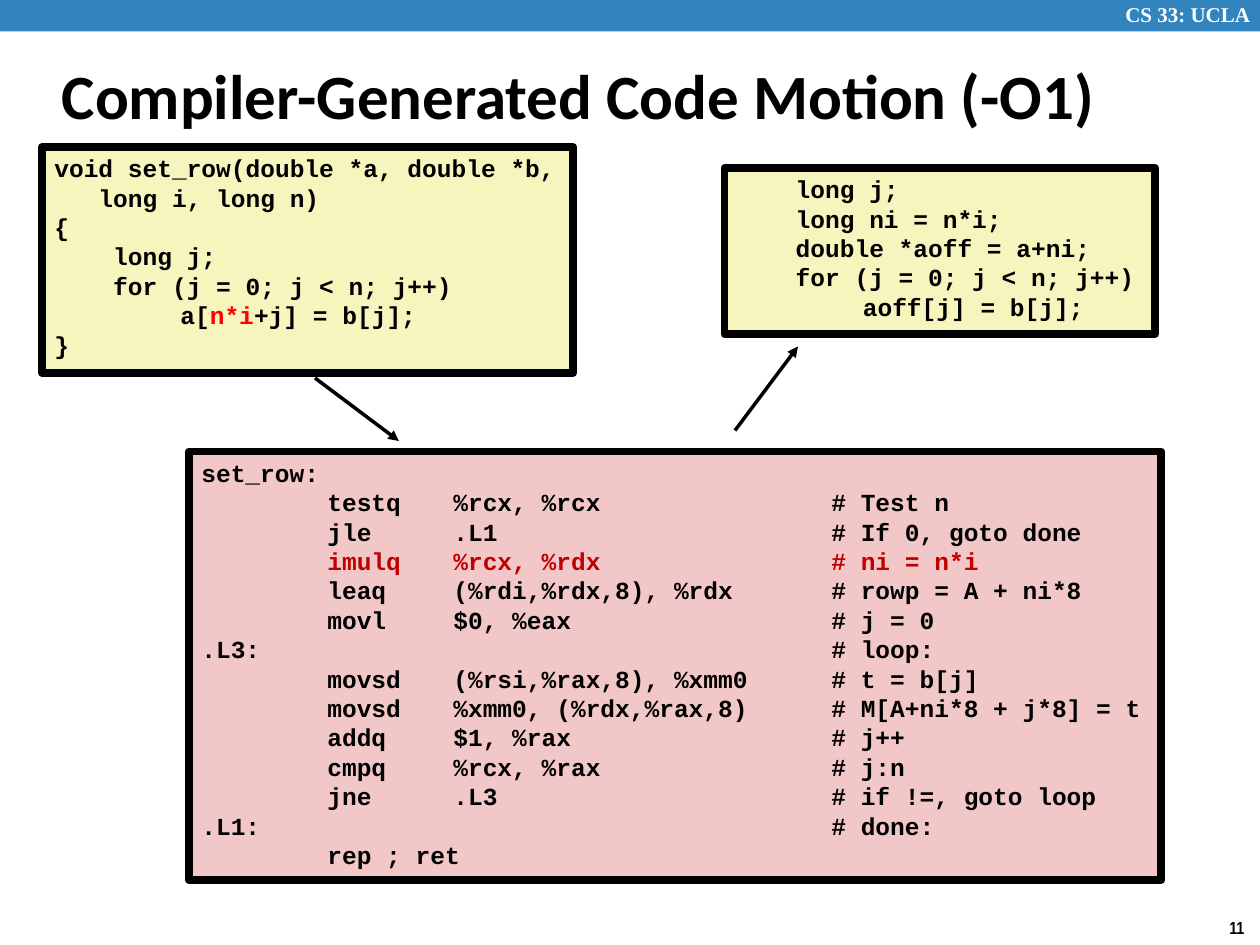
from dataclasses import dataclass

from lxml.etree import SubElement
from pptx import Presentation
from pptx.dml.color import RGBColor
from pptx.enum.shapes import MSO_CONNECTOR, MSO_SHAPE
from pptx.enum.text import MSO_ANCHOR, PP_ALIGN
from pptx.oxml.ns import qn
from pptx.slide import Slide
from pptx.util import Inches, Pt

BLACK = RGBColor(0x00, 0x00, 0x00)
WHITE = RGBColor(0xFF, 0xFF, 0xFF)
HEADER_BLUE = RGBColor(0x32, 0x84, 0xBF)
C_YELLOW = RGBColor(0xF6, 0xF5, 0xBD)
ASSEMBLY_PINK = RGBColor(0xF1, 0xC7, 0xC7)
RED = RGBColor(0xFF, 0x00, 0x00)
DARK_RED = RGBColor(0xC0, 0x00, 0x00)

SOURCE_CODE = """void set_row(double *a, double *b,
   long i, long n)
{
    long j;
    for (j = 0; j < n; j++)
\ta[n*i+j] = b[j];
}"""

MOVED_CODE = """    long j;
    long ni = n*i;
    double *aoff = a+ni;
    for (j = 0; j < n; j++)
\taoff[j] = b[j];"""

ASSEMBLY = [
    ("set_row:",),
    ("", "testq", "%rcx, %rcx", "# Test n"),
    ("", "jle", ".L1", "# If 0, goto done"),
    ("", "imulq", "%rcx, %rdx", "# ni = n*i"),
    ("", "leaq", "(%rdi,%rdx,8), %rdx", "# rowp = A + ni*8"),
    ("", "movl", "$0, %eax", "# j = 0"),
    (".L3:", "", "", "# loop:"),
    ("", "movsd", "(%rsi,%rax,8), %xmm0", "# t = b[j]"),
    ("", "movsd", "%xmm0, (%rdx,%rax,8)", "# M[A+ni*8 + j*8] = t"),
    ("", "addq", "$1, %rax", "# j++"),
    ("", "cmpq", "%rcx, %rax", "# j:n"),
    ("", "jne", ".L3", "# if !=, goto loop"),
    (".L1:", "", "", "# done:"),
    ("", "rep ; ret"),
]


def write(frame, text, font="Courier New", size=14, color=BLACK, highlight="\n",
          accent=RED, tabs=(), leading=None, anchor=MSO_ANCHOR.TOP):
    """Fill a text frame with bold lines, colouring the highlighted part."""
    frame.word_wrap = True
    frame.vertical_anchor = anchor
    for number, line in enumerate(text.split("\n")):
        paragraph = frame.add_paragraph() if number else frame.paragraphs[0]
        paragraph.alignment = PP_ALIGN.LEFT
        if tabs:
            stops = SubElement(paragraph._p.get_or_add_pPr(), qn("a:tabLst"))
            for stop in tabs:
                SubElement(stops, qn("a:tab"), pos=str(Inches(stop)), algn="l")
        if leading:
            paragraph.line_spacing = Pt(leading)
        before, marked, after = line.partition(highlight)
        for part, tint in ((before, color), (marked, accent), (after, color)):
            if part:
                run = paragraph.add_run()
                run.text = part
                run.font.name = font
                run.font.size = Pt(size)
                run.font.bold = True
                run.font.color.rgb = tint


@dataclass
class CodeSlide:
    """Draws on a slide with a grid of twelve cells to the inch."""

    slide: Slide
    cell: float = 1 / 12
    border: float = 4.5
    arrow_width: float = 2
    leading: float = 16.8

    def grid(self, *cells):
        """Turn grid cells into lengths."""
        return [Inches(count * self.cell) for count in cells]

    def label(self, text, place, **style):
        """Add a plain text box."""
        write(self.slide.shapes.add_textbox(*self.grid(*place)).text_frame, text, **style)

    def panel(self, place, fill):
        """Add a filled rectangle without a line."""
        panel = self.slide.shapes.add_shape(MSO_SHAPE.RECTANGLE, *self.grid(*place))
        panel.shadow.inherit = False
        panel.fill.solid()
        panel.fill.fore_color.rgb = fill
        panel.line.fill.background()
        return panel

    def code(self, text, place, fill, **style):
        """Add a framed code listing."""
        listing = self.panel(place, fill)
        listing.line.color.rgb = BLACK
        listing.line.width = Pt(self.border)
        write(listing.text_frame, text, leading=self.leading, **style)

    def arrow(self, start, end):
        """Add a straight arrow."""
        arrow = self.slide.shapes.add_connector(
            MSO_CONNECTOR.STRAIGHT, *self.grid(*start, *end))
        arrow.line.color.rgb = BLACK
        arrow.line.width = Pt(self.arrow_width)
        SubElement(arrow.line._get_or_add_ln(), qn("a:tailEnd"), type="triangle")
        SubElement(arrow._element.spPr, qn("a:effectLst"))


def main():
    """Build and save the slide."""
    deck = Presentation()
    deck.slide_width, deck.slide_height = Inches(10), Inches(7.5)
    page = CodeSlide(deck.slides.add_slide(deck.slide_layouts[6]))

    page.panel((0, 0, 120, 3), HEADER_BLUE)
    page.label("CS 33: UCLA", (106, -0.4, 14.9, 3.6),
               font="Times New Roman", size=12, color=WHITE)
    page.label("11", (115.9, 86.75, 4.1, 3.25), font="Arial Narrow", size=10)
    page.label("Compiler-Generated Code Motion (-O1)", (4.7, 4, 106, 10),
               font="Calibri", size=36, anchor=MSO_ANCHOR.MIDDLE)

    page.code("\n".join("\t".join(row) for row in ASSEMBLY), (18, 43, 92.6, 40.8),
              ASSEMBLY_PINK, highlight="\t".join(ASSEMBLY[3][1:]),
              accent=DARK_RED, tabs=(1, 2, 5))
    page.arrow((30, 36), (38, 42))
    page.arrow((70, 41), (76, 33))
    page.code(MOVED_CODE, (69, 16, 41, 15.8), C_YELLOW, tabs=(1,))
    page.code(SOURCE_CODE, (4, 14, 50.6, 21.5), C_YELLOW, highlight="n*i", tabs=(1,))

    deck.save("out.pptx")


if __name__ == "__main__":
    main()
